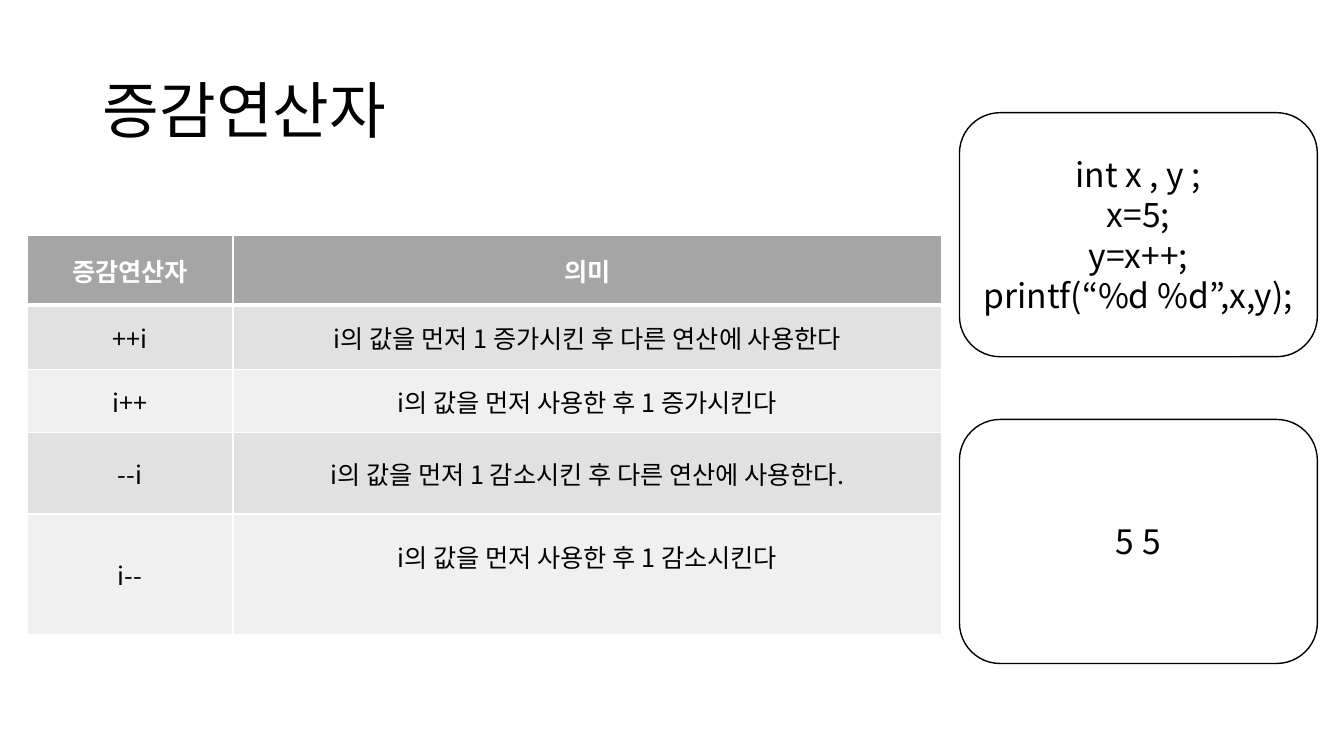
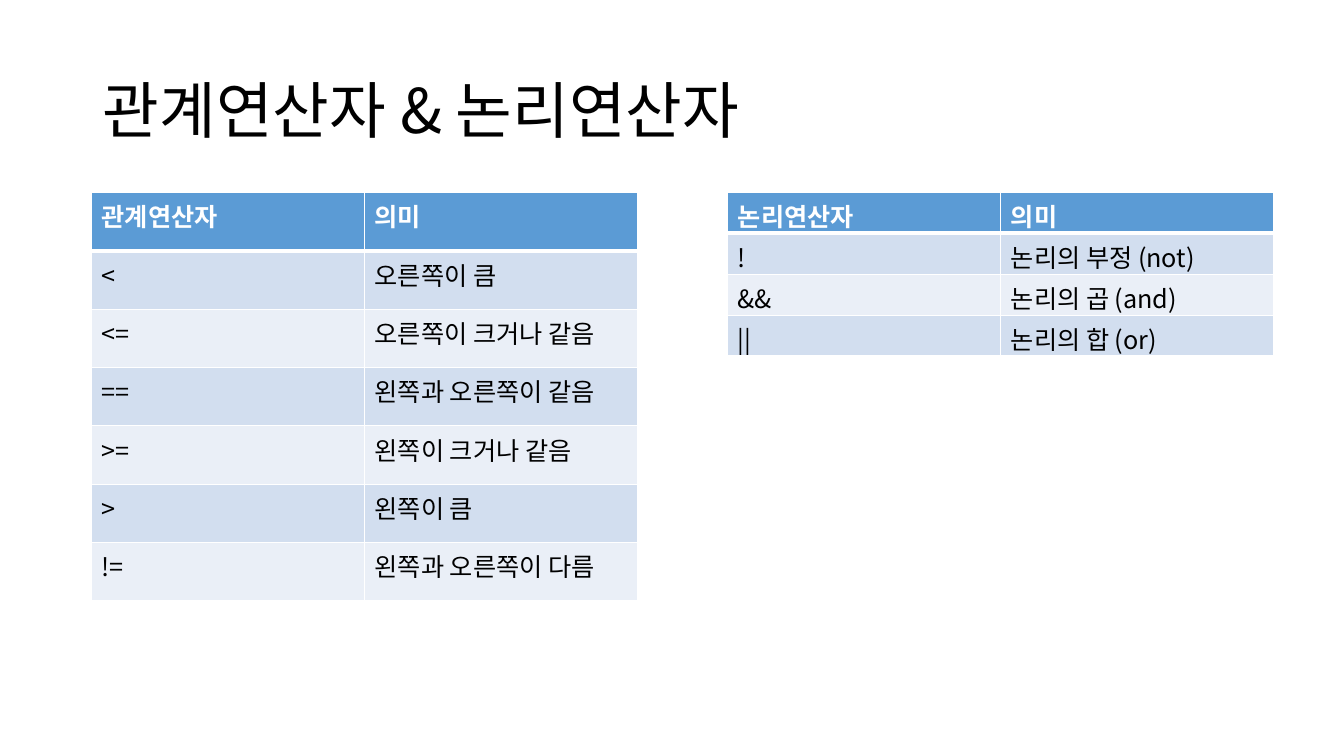
import dataclasses

import lxml.etree
import pptx
import pptx.dml.color
import pptx.enum.shapes
import pptx.enum.text
import pptx.oxml.ns
import pptx.util

Cm = pptx.util.Cm
Pt = pptx.util.Pt
ALIGN = pptx.enum.text.PP_ALIGN
ANCHOR = pptx.enum.text.MSO_ANCHOR
qn = pptx.oxml.ns.qn


@dataclasses.dataclass(frozen=True)
class Theme:
    font: str = "Noto Sans CJK KR"
    ink: str = "000000"
    paper: str = "FFFFFF"
    gray: tuple = ("A5A5A5", "E1E1E1", "F0F0F0")
    blue: tuple = ("5B9BD5", "D2DEEF", "EAEFF7")
    title_size: float = 44
    code_size: float = 24
    table_size: float = 18
    thin: float = 1
    thick: float = 3


THEME = Theme()
TITLE_BOX = (2.34, 1.02, 29.21, 3.68)

INCREMENT_ROWS = [
    ("증감연산자", "의미"),
    ("++i", "i의 값을 먼저 1 증가시킨 후 다른 연산에 사용한다"),
    ("i++", "i의 값을 먼저 사용한 후 1 증가시킨다"),
    ("--i", "i의 값을 먼저 1 감소시킨 후 다른 연산에 사용한다."),
    ("i--", "i의 값을 먼저 사용한 후 1 감소시킨다"),
]
RELATION_ROWS = [
    ("관계연산자", "의미"),
    ("<", "오른쪽이 큼"),
    ("<=", "오른쪽이 크거나 같음"),
    ("==", "왼쪽과 오른쪽이 같음"),
    (">=", "왼쪽이 크거나 같음"),
    (">", "왼쪽이 큼"),
    ("!=", "왼쪽과 오른쪽이 다름"),
]
LOGIC_ROWS = [
    ("논리연산자", "의미"),
    ("!", "논리의 부정 (not)"),
    ("&&", "논리의 곱 (and)"),
    ("||", "논리의 합 (or)"),
]
CODE = "int x , y ;\nx=5;\ny=x++;\nprintf(“%d %d”,x,y);"
OUTPUT = "5 5"


def rgb(color):
    return pptx.dml.color.RGBColor.from_string(color)


def write(frame, text, size, color=THEME.ink, bold=False, align=ALIGN.LEFT):
    frame.text = text
    for paragraph in frame.paragraphs:
        paragraph.alignment = align
        for run in paragraph.runs:
            run.font.name = THEME.font
            run.font.size = Pt(size)
            run.font.bold = bold
            run.font.color.rgb = rgb(color)
            east_asian = lxml.etree.SubElement(run.font._element, qn("a:ea"))
            east_asian.set("typeface", THEME.font)


def add_title(slide, text, box):
    title = slide.shapes.add_textbox(*map(Cm, box))
    frame = title.text_frame
    frame.word_wrap = True
    frame.vertical_anchor = ANCHOR.MIDDLE
    write(frame, text, THEME.title_size)
    frame.paragraphs[0].line_spacing = 0.9


def add_code_panel(slide, text, box):
    panel = slide.shapes.add_shape(
        pptx.enum.shapes.MSO_SHAPE.ROUNDED_RECTANGLE, *map(Cm, box))
    panel.shadow.inherit = False
    panel.fill.solid()
    panel.fill.fore_color.rgb = rgb(THEME.paper)
    panel.line.color.rgb = rgb(THEME.ink)
    panel.line.width = Pt(THEME.thin)
    panel.text_frame.word_wrap = True
    panel.text_frame.vertical_anchor = ANCHOR.MIDDLE
    write(panel.text_frame, text, THEME.code_size, align=ALIGN.CENTER)


def set_borders(cell, row_index):
    properties = cell._tc.get_or_add_tcPr()
    widths = {"L": THEME.thin, "R": THEME.thin,
              "T": THEME.thick if row_index == 1 else THEME.thin,
              "B": THEME.thick if row_index == 0 else THEME.thin}
    for position, (side, width) in enumerate(widths.items()):
        border = lxml.etree.Element(qn(f"a:ln{side}"), w=str(Pt(width)))
        fill = lxml.etree.SubElement(border, qn("a:solidFill"))
        lxml.etree.SubElement(fill, qn("a:srgbClr"), val=THEME.paper)
        properties.insert(position, border)


def add_operator_table(slide, rows, origin, widths, heights, palette,
                       align=ALIGN.LEFT, anchor=ANCHOR.TOP):
    size = (sum(widths), sum(heights))
    table = slide.shapes.add_table(
        len(rows), len(widths), *map(Cm, origin + size)).table
    for column, width in zip(table.columns, widths):
        column.width = Cm(width)
    header, odd, even = palette
    for row_index, (texts, height) in enumerate(zip(rows, heights)):
        table.rows[row_index].height = Cm(height)
        is_header = row_index == 0
        fill = header if is_header else odd if row_index % 2 else even
        for column_index, text in enumerate(texts):
            cell = table.cell(row_index, column_index)
            cell.fill.solid()
            cell.fill.fore_color.rgb = rgb(fill)
            cell.vertical_anchor = anchor
            set_borders(cell, row_index)
            write(cell.text_frame, text, THEME.table_size,
                  THEME.paper if is_header else THEME.ink, is_header, align)
    return table


def add_slide(deck, title):
    slide = deck.slides.add_slide(deck.slide_layouts[6])
    add_title(slide, title, TITLE_BOX)
    return slide


def build_increment_slide(deck):
    slide = add_slide(deck, "증감연산자")
    table = add_operator_table(
        slide, INCREMENT_ROWS, (0.69, 5.94), (5.18, 17.86),
        (1.75, 1.63, 1.57, 2.06, 3.05), THEME.gray,
        ALIGN.CENTER, ANCHOR.MIDDLE)
    table.cell(len(INCREMENT_ROWS) - 1, 1).margin_bottom = Cm(1.05)
    left, top, width, height, gap = 24.18, 2.84, 9.02, 6.15, 1.58
    for index, text in enumerate((CODE, OUTPUT)):
        add_code_panel(
            slide, text, (left, top + index * (height + gap), width, height))


def build_comparison_slide(deck):
    slide = add_slide(deck, "관계연산자 & 논리연산자")
    for rows, left, height in ((RELATION_ROWS, 2.31, 1.47),
                               (LOGIC_ROWS, 18.34, 1.03)):
        add_operator_table(slide, rows, (left, 4.85), (6.88, 6.88),
                           [height] * len(rows), THEME.blue)


def main():
    deck = pptx.Presentation()
    deck.slide_width, deck.slide_height = Cm(33.87), Cm(19.05)
    build_increment_slide(deck)
    build_comparison_slide(deck)
    deck.save("out.pptx")


if __name__ == "__main__":
    main()
